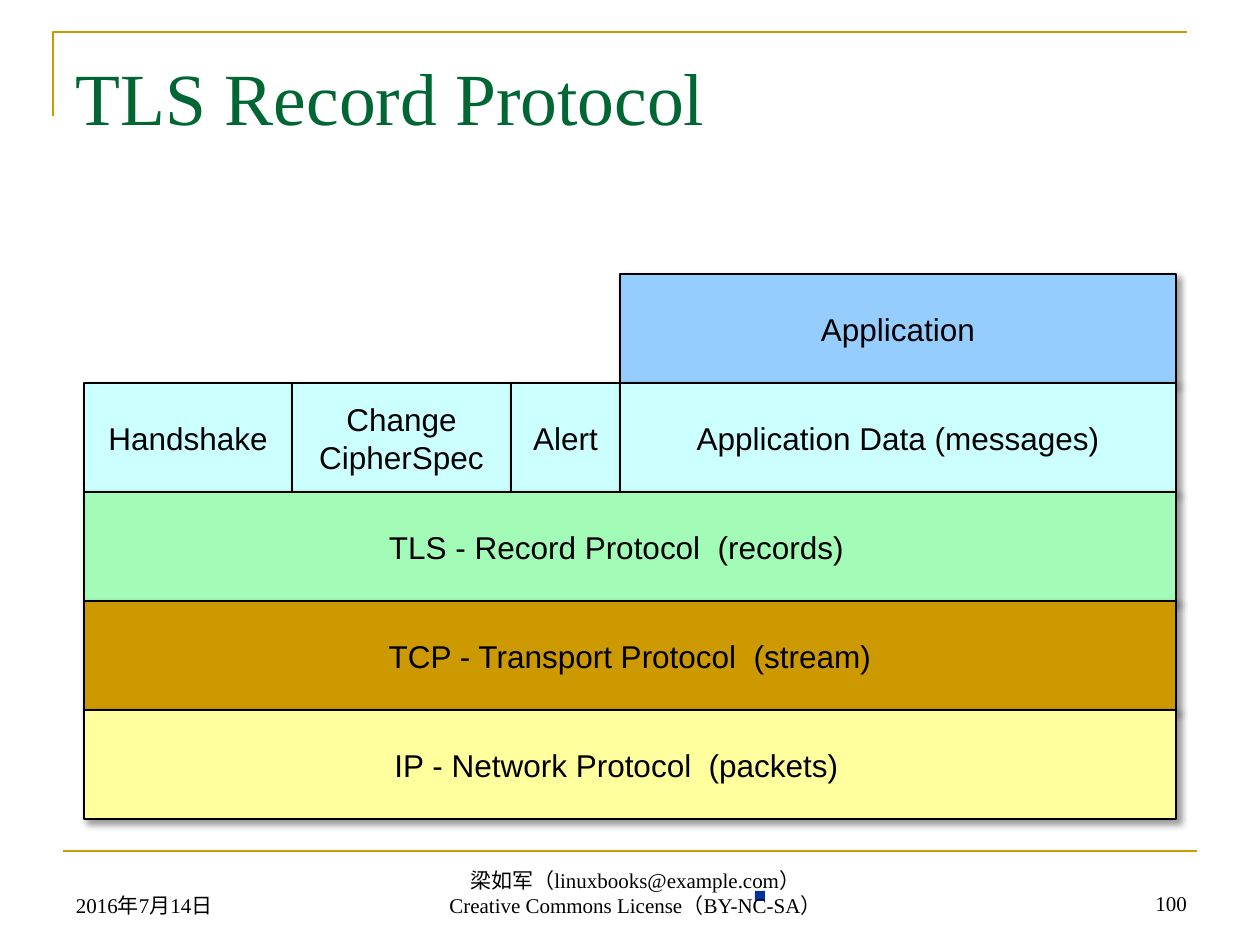
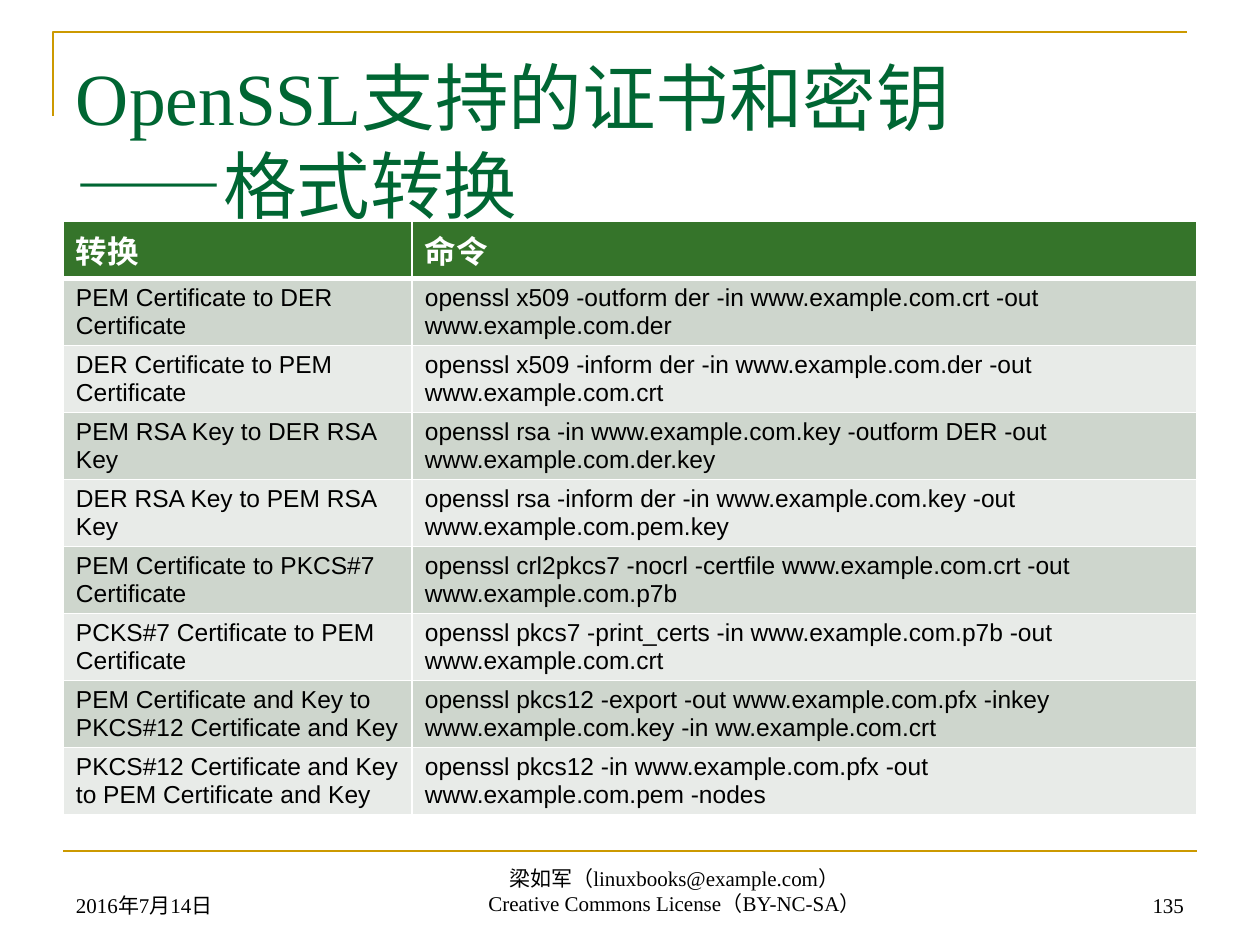
import lxml.etree
import pptx
import pptx.dml.color
import pptx.enum.shapes
import pptx.enum.text
import pptx.oxml
import pptx.oxml.ns
import pptx.util

PX = 914400 / 126
SLIDE_SIZE = (1260, 945)

GOLD, GREEN, BLACK, WHITE = "CC9900", "006633", "000000", "FFFFFF"
SQUARE_BLUE, CYAN = "003399", "CCFFFF"
HEADER_FILL, ROW_FILLS = "35742A", ("CED6CD", "E8EBE8")
SANS, SERIF = "Arial", "Times New Roman"
INSETS = (13, 6, 13, 6)

DATE = "2016年7月14日"
CREDIT = ["梁如军（linuxbooks@example.com）", "Creative Commons License（BY-NC-SA）"]

# The protocol stack: column edges, then blocks as
# (text, row, first edge, last edge, fill, extra inset on the right)
STACK_TOP, ROW_HEIGHT = 274, 109
EDGES = (84, 292, 511, 620, 1176)
BLOCKS = [
    ("Handshake", 1, 0, 1, CYAN, 0),
    ("Change\vCipherSpec", 1, 1, 2, CYAN, 0),
    ("Alert", 1, 2, 3, CYAN, 0),
    ("Application", 0, 3, 4, "95CDFF", 0),
    ("Application Data (messages)", 1, 3, 4, CYAN, 0),
    ("TLS - Record Protocol  (records)", 2, 0, 4, "A3FBB8", 27),
    ("TCP - Transport Protocol  (stream)", 3, 0, 4, GOLD, 0),
    ("IP - Network Protocol  (packets)", 4, 0, 4, "FFFF9D", 27),
]

COLUMN_WIDTHS = (349, 785)
HEADER_HEIGHT, BODY_HEIGHT = 57, 67
CONVERSIONS = [
    ("转换", "命令"),
    ("PEM Certificate to DER Certificate",
     "openssl x509 -outform der -in www.example.com.crt -out www.example.com.der"),
    ("DER Certificate to PEM Certificate",
     "openssl x509 -inform der -in www.example.com.der -out www.example.com.crt"),
    ("PEM RSA Key to DER RSA Key",
     "openssl rsa -in www.example.com.key -outform DER -out www.example.com.der.key"),
    ("DER RSA Key to PEM RSA Key",
     "openssl rsa -inform der -in www.example.com.key -out www.example.com.pem.key"),
    ("PEM Certificate to PKCS#7 Certificate",
     "openssl crl2pkcs7 -nocrl -certfile www.example.com.crt -out www.example.com.p7b"),
    ("PCKS#7 Certificate to PEM Certificate",
     "openssl pkcs7 -print_certs -in www.example.com.p7b -out www.example.com.crt"),
    ("PEM Certificate and Key to PKCS#12 Certificate and Key",
     "openssl pkcs12 -export -out www.example.com.pfx -inkey www.example.com.key"
     " -in ww.example.com.crt"),
    ("PKCS#12 Certificate and Key to PEM Certificate and Key",
     "openssl pkcs12 -in www.example.com.pfx -out www.example.com.pem -nodes"),
]


def px(*lengths):
    return [round(length * PX) for length in lengths]


def rgb(color):
    return pptx.dml.color.RGBColor.from_string(color)


def write(frame, text, size=18, font=SANS, color=BLACK, bold=False,
          align="LEFT", anchor="TOP", insets=INSETS):
    """Fill a text frame; a list gives paragraphs, a vertical tab breaks a line."""
    frame.word_wrap = True
    frame.auto_size = pptx.enum.text.MSO_AUTO_SIZE.NONE
    frame.vertical_anchor = pptx.enum.text.MSO_ANCHOR[anchor]
    (frame.margin_left, frame.margin_top,
     frame.margin_right, frame.margin_bottom) = px(*insets)
    write_paragraphs(frame, text, size, font, color, bold, align)


def write_paragraphs(frame, text, size, font, color, bold=False, align="LEFT"):
    lines = [text] if isinstance(text, str) else text
    for index, line in enumerate(lines):
        paragraph = frame.add_paragraph() if index else frame.paragraphs[0]
        paragraph.text = line
        paragraph.alignment = pptx.enum.text.PP_ALIGN[align]
        for run in paragraph.runs:
            run.font.size = pptx.util.Pt(size)
            run.font.name = font
            run.font.bold = bold
            run.font.color.rgb = rgb(color)


def style_line(line, color, width):
    line.color.rgb = rgb(color)
    line.width = pptx.util.Pt(width)


def add_rectangle(slide, box, fill):
    shape = slide.shapes.add_shape(
        pptx.enum.shapes.MSO_SHAPE.RECTANGLE, *px(*box))
    shape.shadow.inherit = False
    shape.fill.solid()
    shape.fill.fore_color.rgb = rgb(fill)
    shape.line.fill.background()
    return shape


def add_shadow(shape):
    effects = shape._element.spPr.find(pptx.oxml.ns.qn("a:effectLst"))
    effects.append(pptx.oxml.parse_xml(
        f'<a:outerShdw {pptx.oxml.ns.nsdecls("a")} blurRad="50800" dist="38100"'
        f' dir="2700000" algn="tl" rotWithShape="0"><a:srgbClr val="{BLACK}">'
        '<a:alpha val="40000"/></a:srgbClr></a:outerShdw>'))


def add_footer(slide, box, text, align):
    frame = slide.shapes.add_textbox(*px(*box)).text_frame
    write(frame, text, size=12, font=SERIF, align=align, anchor="BOTTOM")


def add_titled_slide(presentation, title):
    slide = presentation.slides.add_slide(presentation.slide_layouts[5])
    corner = slide.shapes.build_freeform(53, 116, scale=PX)
    corner.add_line_segments([(53, 32), (1187, 32)], close=False)
    corner = corner.convert_to_shape()
    corner.shadow.inherit = False
    corner.fill.background()
    style_line(corner.line, GOLD, 1.5)

    rule = slide.shapes.add_connector(
        pptx.enum.shapes.MSO_CONNECTOR.STRAIGHT, *px(63, 851, 1197, 851))
    style_line(rule.line, GOLD, 1.5)
    lxml.etree.SubElement(rule._element.spPr, pptx.oxml.ns.qn("a:effectLst"))

    placeholder = slide.shapes.title
    (placeholder.left, placeholder.top,
     placeholder.width, placeholder.height) = px(63, 38, 1134, 158)
    write(placeholder.text_frame, title, size=42, font=SERIF, color=GREEN,
          insets=(13, 14, 13, 6))
    return slide


def add_footers(slide, number, date_box, credit_box, number_box):
    add_footer(slide, date_box, DATE, "LEFT")
    add_footer(slide, credit_box, CREDIT, "CENTER")
    add_footer(slide, number_box, number, "RIGHT")


def add_protocol_stack(slide):
    for text, row, first, last, fill, extra in BLOCKS:
        left, right = EDGES[first], EDGES[last]
        top = STACK_TOP + row * ROW_HEIGHT
        block = add_rectangle(slide, (left, top, right - left, ROW_HEIGHT), fill)
        style_line(block.line, BLACK, 1)
        add_shadow(block)
        write(block.text_frame, text, align="CENTER", anchor="MIDDLE",
              insets=(13, 6, 13 + extra, 6))


def set_borders(cell, widths):
    properties = cell._tc.get_or_add_tcPr()
    for side, width in zip("LRTB", widths):
        properties.append(pptx.oxml.parse_xml(
            f'<a:ln{side} {pptx.oxml.ns.nsdecls("a")} w="{width * 12700}">'
            f'<a:solidFill><a:srgbClr val="{WHITE}"/></a:solidFill></a:ln{side}>'))


def add_conversion_table(slide):
    row_count = len(CONVERSIONS)
    height = HEADER_HEIGHT + (row_count - 1) * BODY_HEIGHT
    table = slide.shapes.add_table(
        row_count, len(COLUMN_WIDTHS),
        *px(63, 221, sum(COLUMN_WIDTHS), height)).table
    table.horz_banding = False
    for column, width in zip(table.columns, px(*COLUMN_WIDTHS)):
        column.width = width
    for index, texts in enumerate(CONVERSIONS):
        header = index == 0
        table.rows[index].height, = px(HEADER_HEIGHT if header else BODY_HEIGHT)
        for cell, text in zip(table.rows[index].cells, texts):
            set_borders(cell, (1, 1, 3 if index == 1 else 1, 3 if header else 1))
            cell.fill.solid()
            cell.fill.fore_color.rgb = rgb(
                HEADER_FILL if header else ROW_FILLS[(index - 1) % 2])
            (cell.margin_left, cell.margin_top,
             cell.margin_right, cell.margin_bottom) = px(*INSETS)
            write_paragraphs(cell.text_frame, text, 18 if header else 14, SANS,
                             WHITE if header else BLACK, bold=header)


def main():
    presentation = pptx.Presentation()
    presentation.slide_width, presentation.slide_height = px(*SLIDE_SIZE)

    slide = add_titled_slide(presentation, "TLS Record Protocol")
    add_protocol_stack(slide)
    add_rectangle(slide, (755, 891, 10, 10), SQUARE_BLUE)
    add_footers(slide, "100", (63, 861, 242, 63), (333, 861, 605, 63),
                (958, 859, 242, 63))

    slide = add_titled_slide(presentation, "OpenSSL支持的证书和密钥\v——格式转换")
    add_conversion_table(slide)
    add_footers(slide, "135", (63, 861, 294, 63), (302, 859, 745, 63),
                (903, 861, 294, 63))

    presentation.save("out.pptx")


if __name__ == "__main__":
    main()
